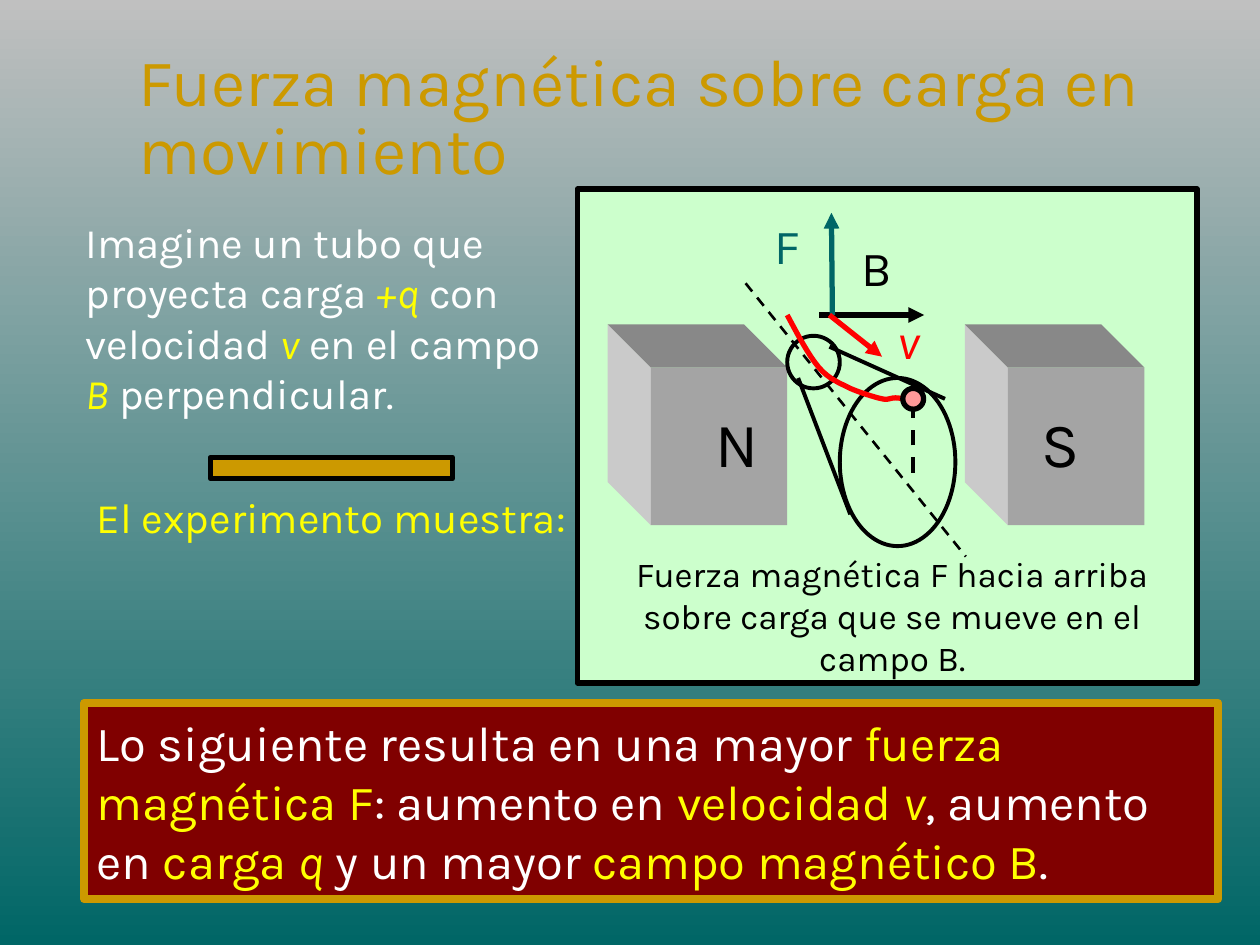
from pptx import Presentation
from pptx.dml.color import RGBColor
from pptx.enum.dml import MSO_LINE
from pptx.enum.shapes import MSO_CONNECTOR, MSO_SHAPE as Kind
from pptx.enum.text import MSO_ANCHOR as Anchor, PP_ALIGN as Align
from pptx.oxml.ns import qn
from pptx.util import Cm, Pt
from lxml.etree import SubElement

BLACK = RGBColor(0x00, 0x00, 0x00)
WHITE = RGBColor(0xFF, 0xFF, 0xFF)
YELLOW = RGBColor(0xFF, 0xFF, 0x00)
GOLD = RGBColor(0xCC, 0x99, 0x00)
RED = RGBColor(0xFF, 0x00, 0x00)
PINK = RGBColor(0xFF, 0x99, 0x99)
MAROON = RGBColor(0x80, 0x00, 0x00)
MINT = RGBColor(0xCC, 0xFF, 0xCC)
TEAL = RGBColor(0x00, 0x66, 0x66)
SILVER = RGBColor(0xC0, 0xC0, 0xC0)
FRONT = RGBColor(0xA4, 0xA4, 0xA4)
SIDE = RGBColor(0xCA, 0xCA, 0xCA)
TOP = RGBColor(0x88, 0x88, 0x88)
FONT = "Karla"


def paint(shape, fill=None, line=None, width=1):
    shape.shadow.inherit = False
    if fill is None:
        shape.fill.background()
    else:
        shape.fill.solid()
        shape.fill.fore_color.rgb = fill
    if line is None:
        shape.line.fill.background()
    else:
        shape.line.color.rgb = line
        shape.line.width = Pt(width)
    return shape


def add_shape(slide, kind, box, *look):
    shape = slide.shapes.add_shape(kind, *map(Cm, box))
    return paint(shape, *look)


def add_path(slide, points, *look, closed=True):
    spots = [(Cm(x), Cm(y)) for x, y in points]
    pen = slide.shapes.build_freeform(*spots[0])
    pen.add_line_segments(spots[1:], close=closed)
    return paint(pen.convert_to_shape(), *look)


def add_line(slide, start, end, color=BLACK, width=2.25, dash=None, arrow=False):
    line = slide.shapes.add_connector(
        MSO_CONNECTOR.STRAIGHT, *map(Cm, (*start, *end)))
    look = {"width": Pt(width), "dash_style": dash}
    for name, value in look.items():
        setattr(line.line, name, value)
    line.line.color.rgb = color
    if arrow:
        SubElement(line.line._get_or_add_ln(), qn("a:tailEnd"), type="triangle")
    SubElement(line._element.spPr, qn("a:effectLst"))


def write(frame, runs, size, align=Align.LEFT, anchor=Anchor.TOP, space=None):
    """Fill a frame with runs given as (text, colour) or (text, colour, italic)."""
    frame.word_wrap = True
    frame.vertical_anchor = anchor
    para = frame.paragraphs[0]
    para.alignment = align
    para.line_spacing = space
    for text, color, *slant in runs:
        run = para.add_run()
        run.text = text
        look = {"name": FONT, "size": Pt(size), "italic": bool(slant)}
        for name, value in look.items():
            setattr(run.font, name, value)
        run.font.color.rgb = color


def add_text(slide, box, runs, size, **look):
    write(slide.shapes.add_textbox(*map(Cm, box)).text_frame, runs, size, **look)


def curve(points, steps=8):
    """Points along a chain of cubic Bezier arcs."""
    spots = [points[0]]
    for i in range(0, len(points) - 1, 3):
        arc = points[i:i + 4]
        for step in range(1, steps + 1):
            t = step / steps
            parts = ((1 - t) ** 3, 3 * t * (1 - t) ** 2, 3 * t * t * (1 - t), t ** 3)
            spots.append(tuple(sum(p * spot[k] for p, spot in zip(parts, arc))
                               for k in (0, 1)))
    return spots


def add_magnet(slide, x, y, w, h, depth=0.87):
    back, rise = x - depth, y - depth
    add_path(slide, [(x, y), (back, rise), (back, rise + h), (x, y + h)], SIDE)
    add_path(slide, [(x, y), (back, rise), (back + w, rise), (x + w, y)], TOP)
    add_shape(slide, Kind.RECTANGLE, (x, y, w, h), FRONT)


def add_field(slide, x, y, w, h):
    """Panel with both poles, the tube, the charge and the vectors."""
    def at(dx, dy):
        return x + dx, y + dy

    def label(dx, dy, wide, high, text, size, color=BLACK, *slant):
        add_text(slide, (*at(dx, dy), wide, high), [(text, color, *slant)], size,
                 align=Align.CENTER)

    add_shape(slide, Kind.RECTANGLE, (x, y, w, h), MINT, BLACK, 3)
    for dx in (1.48, 8.68):
        add_magnet(slide, *at(dx, 3.6), 2.75, 3.18)
    label(2.54, 4.23, 1.27, 1.78, "N", 36)
    label(9.1, 4.23, 1.27, 1.78, "S", 36)

    add_line(slide, at(3.39, 1.9), at(7.83, 7.41), width=1.5, dash=MSO_LINE.DASH)
    for dx, dy, wide, high in ((5.29, 3.81, 2.33, 3.39), (4.23, 2.96, 1.06, 1.06)):
        add_shape(slide, Kind.OVAL, (*at(dx, dy), wide, high), None, BLACK, 2.25)
    add_line(slide, at(4.45, 3.81), at(5.5, 6.56))
    add_line(slide, at(5.08, 3.18), at(7.41, 4.23))

    trail = [(4.23, 2.54), (4.45, 2.95), (4.66, 3.35), (4.87, 3.6),
             (5.08, 3.84), (5.29, 3.91), (5.5, 4.02),
             (5.72, 4.11), (5.96, 4.19), (6.14, 4.23),
             (6.32, 4.27), (6.29, 4.17), (6.57, 4.23)]
    add_path(slide, [at(*spot) for spot in curve(trail)], None, RED, 3, closed=False)
    add_line(slide, at(6.77, 5.72), at(6.77, 4.45), dash=MSO_LINE.DASH)
    add_shape(slide, Kind.OVAL, (*at(6.56, 4.02), 0.42, 0.42), PINK, BLACK, 3)

    for start, end, color in (((4.87, 2.54), (6.99, 2.54), BLACK),
                              ((5.14, 2.54), (5.12, 0.48), TEAL),
                              ((5.08, 2.54), (6.14, 3.38), RED)):
        add_line(slide, at(*start), at(*end), color, 3, arrow=True)
    label(5.29, 0.85, 1.48, 1.45, "B", 28)
    label(3.6, 0.42, 1.27, 1.45, "F", 28, TEAL)
    label(5.72, 2.33, 1.9, 1.45, "v", 28, RED, True)
    label(0.85, 7.2, 11, 2.79, "Fuerza magnética F hacia arriba sobre carga "
          "que se mueve en el campo B.", 20)


def add_intro(slide, x, y, w, h):
    add_text(slide, (x, y, w, h), [
        ("Imagine un tubo que proyecta carga ", WHITE), ("+q", YELLOW, True),
        (" con velocidad ", WHITE), ("v", YELLOW, True),
        (" en el campo ", WHITE), ("B", YELLOW, True),
        (" perpendicular.", WHITE)], 24)


def add_prompt(slide, x, y, w, h):
    bar = 4.88
    add_shape(slide, Kind.RECTANGLE, (x + (w - bar) / 2, y, bar, 0.43), GOLD, BLACK, 3)
    add_text(slide, (x, y + 0.56, w, h - 0.56),
             [("El experimento muestra:", YELLOW)], 24, align=Align.CENTER)


def add_result(slide, *box):
    shape = add_shape(slide, Kind.RECTANGLE, box, MAROON, GOLD, 4.5)
    write(shape.text_frame, [
        ("Lo siguiente resulta en una mayor ", WHITE), ("fuerza magnética F", YELLOW),
        (": aumento en ", WHITE), ("velocidad ", YELLOW), ("v", YELLOW, True),
        (", aumento en ", WHITE), ("carga ", YELLOW), ("q", YELLOW, True),
        (" y un mayor ", WHITE), ("campo magnético B", YELLOW), (".", WHITE)],
        28, anchor=Anchor.MIDDLE)


def main():
    deck = Presentation()
    deck.slide_width, deck.slide_height = Cm(25.4), Cm(19.05)
    slide = deck.slides.add_slide(deck.slide_layouts[6])
    fill = slide.background.fill
    fill.gradient()
    fill.gradient_angle = 270
    for stop, color, place in zip(fill.gradient_stops, (SILVER, TEAL), (0, 1)):
        stop.color.rgb = color
        stop.position = place

    add_text(slide, (2.54, 0.84, 22.86, 3.18),
             [("Fuerza magnética sobre carga en movimiento", GOLD)], 38,
             anchor=Anchor.MIDDLE, space=0.85)
    add_field(slide, 11.64, 3.81, 12.49, 9.96)
    add_intro(slide, 1.48, 4.24, 9.96, 4.32)
    add_prompt(slide, 1.7, 9.22, 9.96, 3)
    add_result(slide, 1.7, 14.17, 22.86, 3.96)
    deck.save("out.pptx")


if __name__ == "__main__":
    main()
